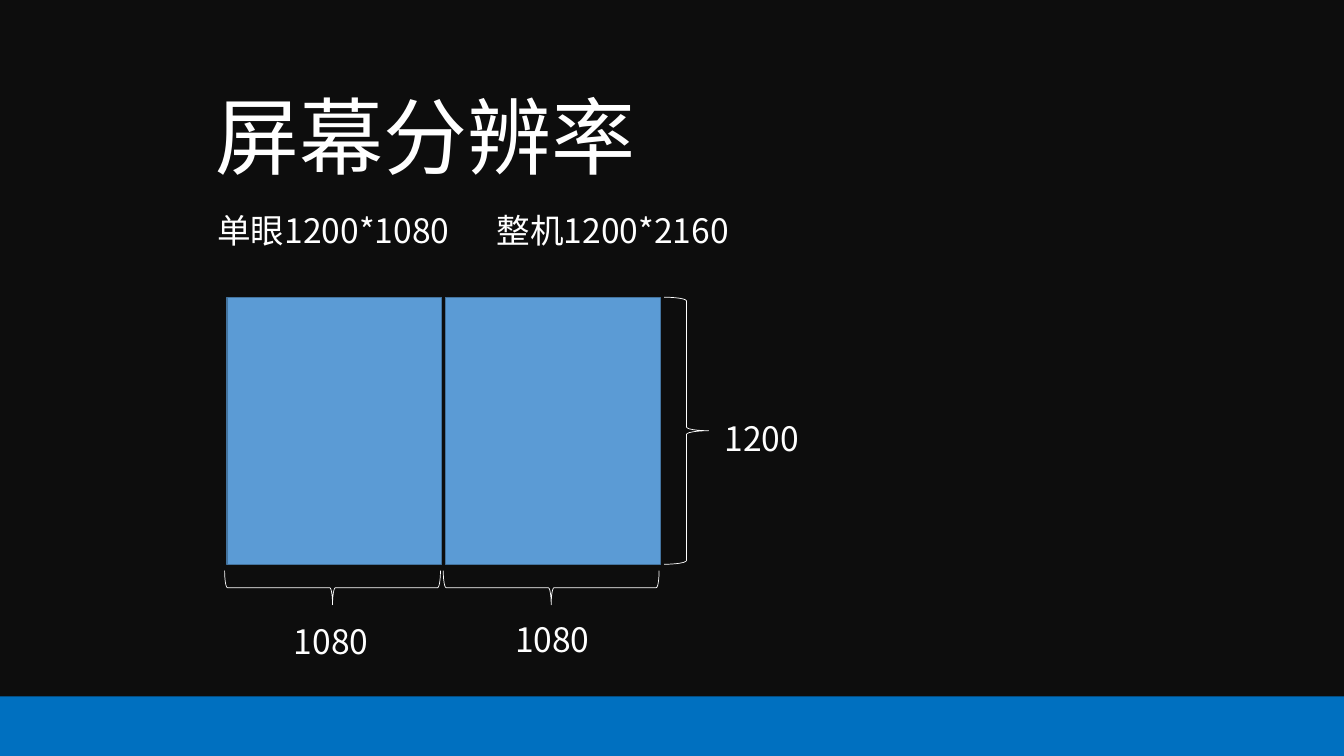
from lxml import etree
from pptx import Presentation
from pptx.dml.color import RGBColor
from pptx.enum.shapes import MSO_SHAPE
from pptx.enum.text import MSO_AUTO_SIZE
from pptx.oxml.ns import qn
from pptx.util import Cm, Pt

RECTANGLE = MSO_SHAPE.RECTANGLE
RIGHT_BRACE = MSO_SHAPE.RIGHT_BRACE
GROW = MSO_AUTO_SIZE.SHAPE_TO_FIT_TEXT


def color(value):
    return RGBColor.from_string(value)


class SlideBuilder:
    font = "Noto Sans CJK SC"
    white = "FFFFFF"
    background = "0D0D0D"
    bar_fill = "0070C0"
    screen_fill = "5B9BD5"
    screen_line = "43739E"

    def __init__(self, page):
        self.page = page
        fill = page.background.fill
        fill.solid()
        fill.fore_color.rgb = color(self.background)

    def shape(self, kind, left, top, width, height, fill=None, line=None, weight=1):
        shape = self.page.shapes.add_shape(
            kind, Cm(left), Cm(top), Cm(width), Cm(height))
        shape.shadow.inherit = False
        if fill:
            shape.fill.solid()
            shape.fill.fore_color.rgb = color(fill)
        else:
            shape.fill.background()
        if line:
            shape.line.color.rgb = color(line)
            shape.line.width = Pt(weight)
        else:
            shape.line.fill.background()
        return shape

    def screen(self, left, top, width, height):
        self.shape(RECTANGLE, left, top, width, height,
                   self.screen_fill, self.screen_line)

    def brace(self, left, top, width, height, rotation=0):
        brace = self.shape(RIGHT_BRACE, left, top, width, height,
                           line=self.white, weight=0.5)
        brace.rotation = rotation

    def text(self, words, left, top, width, height=1.63, size=24):
        box = self.page.shapes.add_textbox(
            Cm(left), Cm(top), Cm(width), Cm(height))
        frame = box.text_frame
        frame.text = words
        frame.word_wrap = False
        frame.auto_size = GROW
        para = frame.paragraphs[0]
        para.line_spacing = 1.5
        span = para.runs[0]
        span.font.size = Pt(size)
        span.font.name = self.font
        span.font.color.rgb = color(self.white)
        # East Asian characters take their own typeface
        east_asian = etree.SubElement(span.font._element, qn("a:ea"))
        east_asian.set("typeface", self.font)


def main():
    deck = Presentation()
    deck.slide_width, deck.slide_height = Cm(33.87), Cm(19.05)
    builder = SlideBuilder(deck.slides.add_slide(deck.slide_layouts[6]))

    # Bottom bar
    builder.shape(RECTANGLE, 0, 17.55, 33.87, 1.5, builder.bar_fill)

    # Title and resolutions
    builder.text("屏幕分辨率", 5.18, 0.74, 11.2, 3.66, size=60)
    builder.text("单眼1200*1080", 5.23, 4.65, 6.63)
    builder.text("整机1200*2160", 12.27, 4.65, 6.63)

    # One screen per eye, each with a width brace and its label
    first_left, pitch, screen_top = 5.72, 5.51, 7.49
    screen_width, screen_height = 5.41, 6.73
    label_places = [(7.16, 15.01), (12.73, 14.96)]
    for index, (label_left, label_top) in enumerate(label_places):
        left = first_left + index * pitch
        builder.screen(left, screen_top, screen_width, screen_height)
        builder.brace(left + 2.23, 12.09, 0.86, 5.44, rotation=90)
        builder.text("1080", label_left, label_top, 2.51)

    # Shared height
    builder.brace(16.74, screen_top, 1.12, screen_height)
    builder.text("1200", 18.01, 9.91, 2.51)

    deck.save("out.pptx")


if __name__ == "__main__":
    main()
